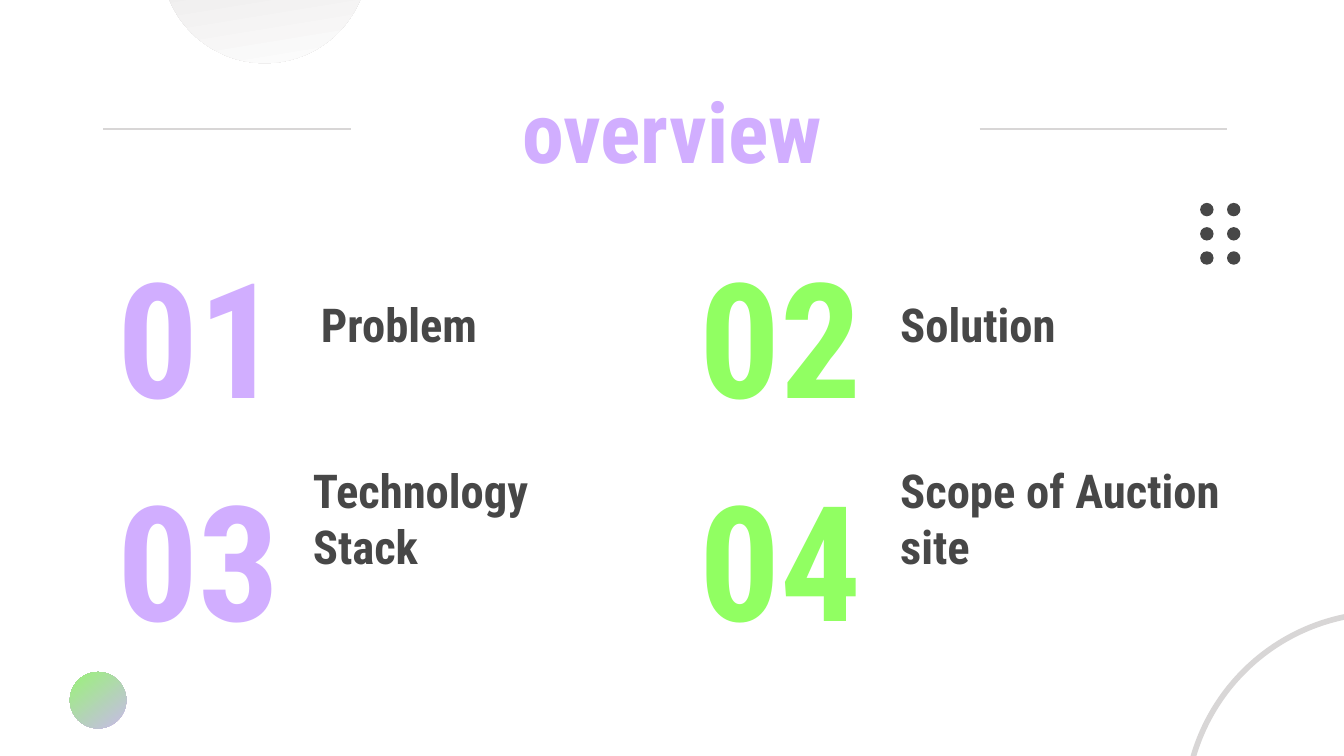
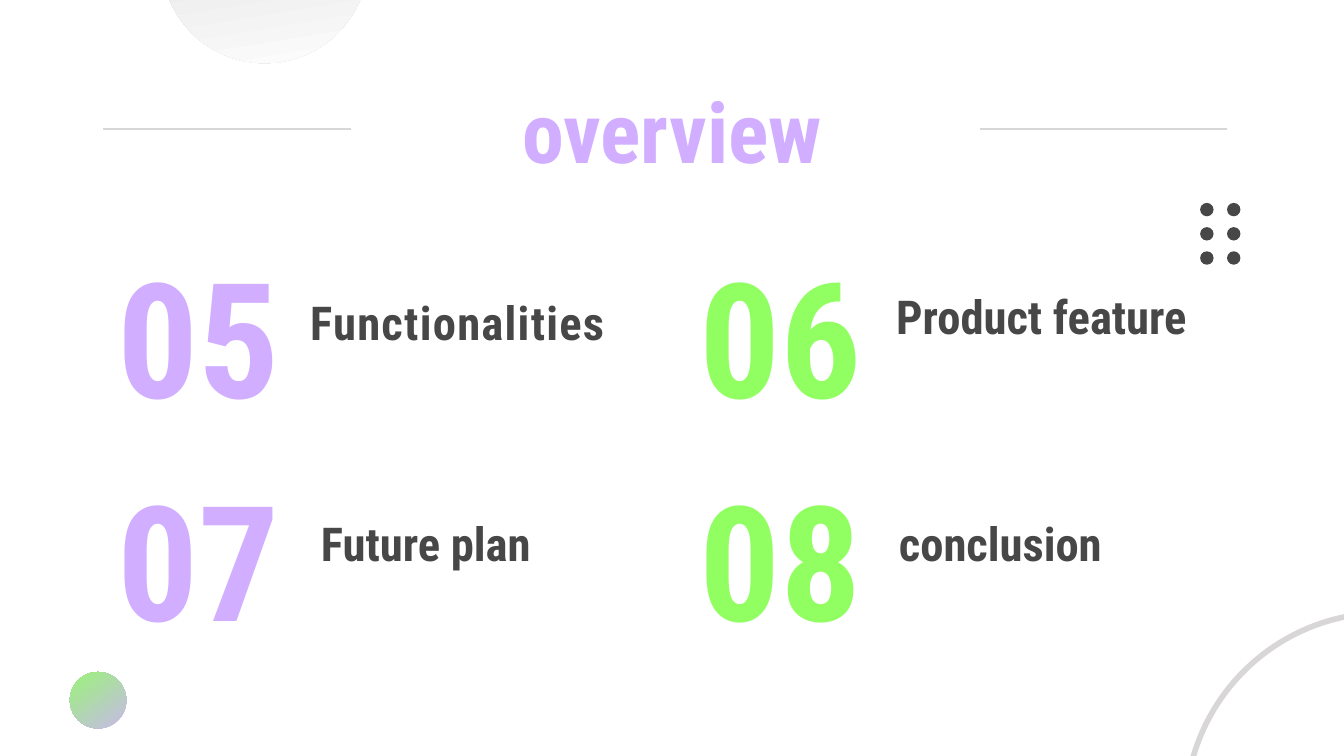
import pptx
import pptx.dml.color
import pptx.enum.shapes
import pptx.enum.text
import pptx.oxml
import pptx.oxml.ns
import pptx.util

COLORS = {
    "background": "FFFFFF",
    "purple": "D1AEFF",
    "green": "91FF62",
    "dark": "474747",
    "grey": "D8D6D6",
}
FONT = "Roboto Condensed"
COLS, ROWS = 100, 56.25  # grid of square cells, a tenth of an inch each
ALIGN = pptx.enum.text.PP_ALIGN
ANCHOR = pptx.enum.text.MSO_ANCHOR

# Each entry: number, label, label left, label top, letter spacing in points
OVERVIEWS = [
    [
        ("01", "Problem", 22.9, 20.9, 0),
        ("02", "Solution", 66, 20.9, 0),
        ("03", "Technology Stack", 22.3, 37.4, 0),
        ("04", "Scope of Auction site", 66, 37.4, 0),
    ],
    [
        ("05", "Functionalities", 22.1, 20.7, 0.7),
        ("06", "Product feature", 65.7, 20.3, 0),
        ("07", "Future plan", 22.9, 37.2, 0),
        ("08", "conclusion", 65.9, 37.2, 0),
    ],
]


def rgb(name):
    return pptx.dml.color.RGBColor.from_string(COLORS[name])


class Deck:
    """Holds the style and the slide being drawn; lengths are grid cells."""

    def __init__(self):
        self.prs = pptx.Presentation()
        self.prs.slide_width = pptx.util.Inches(10)
        self.prs.slide_height = pptx.util.Inches(5.625)
        self.s = None

    def box(self, *cells):
        """Turn alternating column and row values into slide lengths."""
        units = (self.prs.slide_width / COLS, self.prs.slide_height / ROWS)
        return [round(c * units[i % 2]) for i, c in enumerate(cells)]

    def new_slide(self):
        self.s = self.prs.slides.add_slide(self.prs.slide_layouts[5])
        fill = self.s.background.fill
        fill.solid()
        fill.fore_color.rgb = rgb("background")

    def set_text(self, sp, text, size, color, align, anchor, top=1, spacing=0):
        tf = sp.text_frame
        tf.text = text
        tf.word_wrap = True
        tf.auto_size = pptx.enum.text.MSO_AUTO_SIZE.NONE
        tf.vertical_anchor = anchor
        tf.margin_left, tf.margin_top, tf.margin_right, tf.margin_bottom = self.box(1, top, 1, 1)
        p = tf.paragraphs[0]
        p.alignment = align
        r = p.runs[0]
        r.font.name = FONT
        r.font.size = pptx.util.Pt(size)
        r.font.bold = True
        r.font.color.rgb = rgb(color)
        if spacing:
            r.font._element.set("spc", str(round(spacing * 100)))

    def title(self, text):
        sp = self.s.shapes.title
        sp.left, sp.top, sp.width, sp.height = self.box(7.8, 4.9, 84.4, 9.4)
        self.set_text(sp, text, 45, "purple", ALIGN.CENTER, ANCHOR.TOP)

    def text(self, cells, *style, **options):
        self.set_text(self.s.shapes.add_textbox(*self.box(*cells)), *style, **options)

    def circle(self, left, top, size, fill=None, gradient=None, outline=None,
               rotation=0, parent=None):
        shapes = (parent or self.s).shapes
        oval = pptx.enum.shapes.MSO_SHAPE.OVAL
        sp = shapes.add_shape(oval, *self.box(left, top, size, size))
        sp.shadow.inherit = False
        sp.rotation = rotation
        if gradient:
            sp.fill.gradient()
            sp.fill.gradient_angle = 270
            for stop, color in zip(sp.fill.gradient_stops, gradient):
                stop.color.rgb = rgb(color)
        elif fill:
            sp.fill.solid()
            sp.fill.fore_color.rgb = rgb(fill)
        else:
            sp.fill.background()
        if outline:
            sp.line.color.rgb = rgb(outline)
            sp.line.width = pptx.util.Pt(3)
        else:
            sp.line.fill.background()

    def rule(self, start, end, row):
        kind = pptx.enum.shapes.MSO_CONNECTOR.STRAIGHT
        line = self.s.shapes.add_connector(kind, *self.box(start, row, end, row))
        line.line.color.rgb = rgb("grey")
        line.line.width = pptx.util.Pt(1.5)
        effects = pptx.oxml.parse_xml(f"<a:effectLst {pptx.oxml.ns.nsdecls('a')}/>")
        line._element.spPr.append(effects)

    def dots(self):
        group = self.s.shapes.add_group_shape()
        for row in range(3):
            for col in range(2):
                self.circle(89.3 + 2 * col, 15.1 + 1.8 * row, 1, fill="dark", parent=group)

    def decoration(self):
        self.circle(88.2, 45.6, 29.7, outline="grey")
        self.circle(12, -10.7, 15.4, gradient=("grey", "background"), rotation=350.7)
        self.circle(5.2, 50, 4.2, gradient=("purple", "green"), rotation=142.4)
        for start in (7.7, 72.9):
            self.rule(start, start + 18.4, 9.6)
        self.dots()

    def entry(self, index, number, label, left, top, spacing):
        row, col = divmod(index, 2)
        self.text((7 + 43.3 * col, 18.3 + 16.8 * row, 14.8, 12.7),
                  number, 86, ("purple", "green")[col], ALIGN.RIGHT, ANCHOR.MIDDLE,
                  top=1 if row else 1.5)
        self.text((left, top, 28 if spacing else 26.4, 6.3),
                  label, 25, "dark", ALIGN.LEFT, ANCHOR.BOTTOM, spacing=spacing)


def main():
    deck = Deck()
    for entries in OVERVIEWS:
        deck.new_slide()
        deck.decoration()
        deck.title("overview")
        for index, entry in enumerate(entries):
            deck.entry(index, *entry)
    deck.prs.save("out.pptx")


if __name__ == "__main__":
    main()
